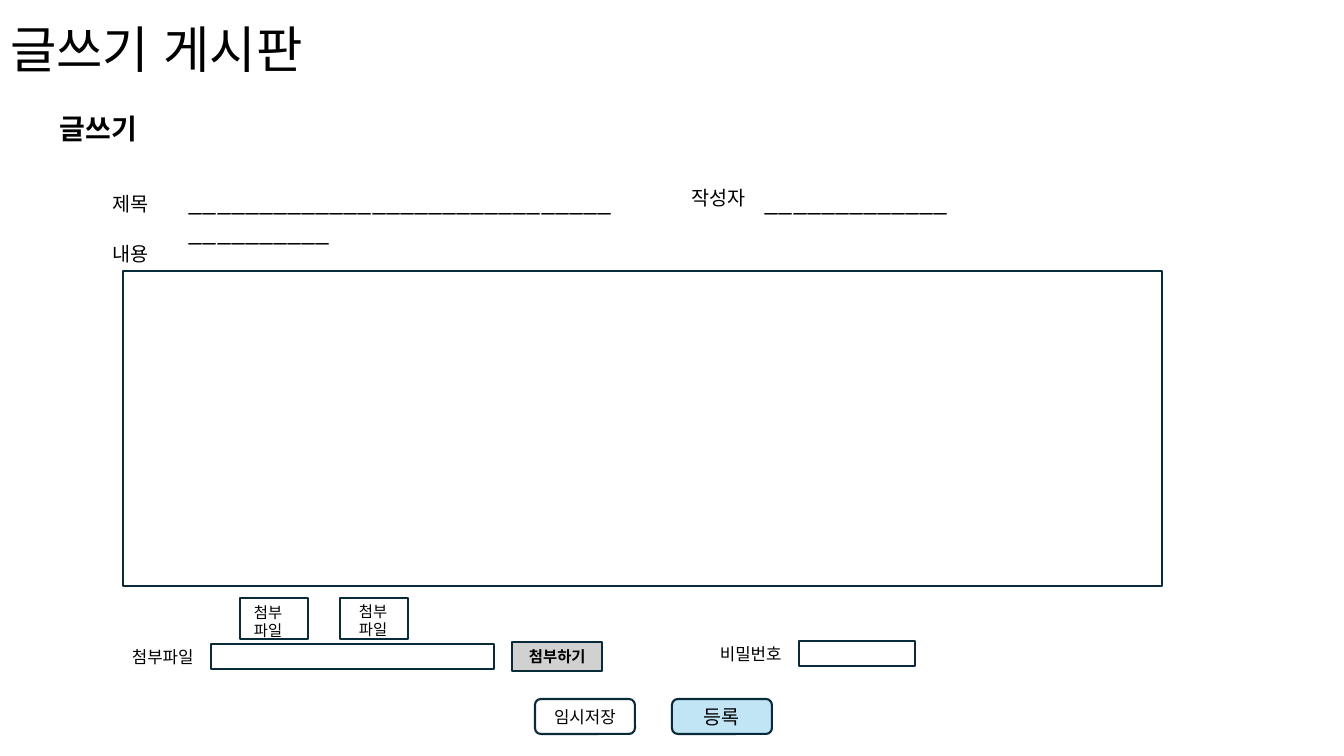
import pptx
import pptx.dml.color
import pptx.enum.lang
import pptx.enum.shapes
import pptx.enum.text
import pptx.oxml
import pptx.oxml.ns
import pptx.util

PX = 914400 / 100.8
FONT = "Noto Sans CJK KR"
BLACK, BORDER, GREY, SKY = "000000", "092A39", "D1D1D1", "C1E5F5"
SHAPE = pptx.enum.shapes.MSO_SHAPE
ALIGN = pptx.enum.text.PP_ALIGN
ANCHOR = pptx.enum.text.MSO_ANCHOR
AUTO = pptx.enum.text.MSO_AUTO_SIZE


def px(*lengths):
    return [pptx.util.Emu(round(n * PX)) for n in lengths]


def paint(color_format, hex_color):
    color_format.rgb = pptx.dml.color.RGBColor.from_string(hex_color)


def write(tf, text, size, bold=False, align=ALIGN.LEFT):
    p = tf.paragraphs[0]
    p.alignment = align
    r = p.add_run()
    r.text = text
    formats = {
        "name": FONT,
        "size": pptx.util.Pt(size),
        "bold": bold,
        "language_id": pptx.enum.lang.MSO_LANGUAGE_ID.KOREAN,
    }
    for key, value in formats.items():
        setattr(r.font, key, value)
    paint(r.font.color, BLACK)
    # East Asian typeface
    ea = pptx.oxml.parse_xml(
        f'<a:ea {pptx.oxml.ns.nsdecls("a")} typeface="{FONT}"/>')
    r.font._element.find(pptx.oxml.ns.qn("a:latin")).addnext(ea)
    return p


def label(s, x, y, w, h, text, size, bold=False):
    tf = s.shapes.add_textbox(*px(x, y, w, h)).text_frame
    tf.word_wrap = True
    write(tf, text, size, bold)


def frame(s, x, y, w, h, fill=None, kind=SHAPE.RECTANGLE):
    sp = s.shapes.add_shape(kind, *px(x, y, w, h))
    sp.shadow.inherit = False
    if fill:
        sp.fill.solid()
        paint(sp.fill.fore_color, fill)
    else:
        sp.fill.background()
    paint(sp.line.color, BORDER)
    sp.line.width = pptx.util.Pt(1.5)
    return sp


def page_title(s, x, y, w, h):
    title = s.shapes.title
    title.left, title.top, title.width, title.height = px(x, y, w, h)
    tf = title.text_frame
    for key, value in {"vertical_anchor": ANCHOR.MIDDLE, "word_wrap": True,
                       "auto_size": AUTO.NONE}.items():
        setattr(tf, key, value)
    write(tf, "글쓰기 게시판", 36).line_spacing = 0.9


def post_fields(s, x, y):
    label(s, x, y + 6, 90, 34, "제목", 14)
    label(s, x + 76, y, 455, 40, "_" * 40, 18)
    label(s, x + 579, y, 90, 34, "작성자", 14)
    label(s, x + 652, y, 228, 40, "_" * 13, 18)


def content_area(s, x, y, w, h):
    label(s, x - 20, y - 34, 90, 34, "내용", 14)
    frame(s, x, y, w, h)


def attachments(s, x, y):
    # Attached files, above the file field
    for i, (text_dx, text_dy) in enumerate([(4, 0), (9, -1)]):
        file_x, file_y = x + 118 + 100 * i, y - 44
        frame(s, file_x, file_y, 68, 41)
        label(s, file_x + text_dx, file_y + text_dy, 58, 47, "첨부파일", 11)
    # File field and attach button
    label(s, x, y, 90, 30, "첨부파일", 12)
    frame(s, x + 89, y + 2, 283, 25)
    frame(s, x + 390, y, 90, 29, GREY)
    label(s, x + 397, y, 90, 29, "첨부하기", 11, True)


def password(s, x, y):
    label(s, x, y, 90, 30, "비밀번호", 12)
    frame(s, x + 89, y + 2, 116, 25)


def actions(s, x, y):
    buttons = [("임시저장", 12, None), ("등록", 14, SKY)]
    for i, (text, size, fill) in enumerate(buttons):
        sp = frame(s, x + 137 * i, y, 100, 35, fill, SHAPE.ROUNDED_RECTANGLE)
        tf = sp.text_frame
        tf.vertical_anchor = ANCHOR.MIDDLE
        write(tf, text, size, align=ALIGN.CENTER)


def main():
    prs = pptx.Presentation()
    prs.slide_width, prs.slide_height = px(1344, 756)
    s = prs.slides.add_slide(prs.slide_layouts[5])
    page_title(s, 0, -21, 1159, 146)
    label(s, 50, 107, 140, 44, "글쓰기", 20, True)
    post_fields(s, 103, 181)
    content_area(s, 123, 271, 1039, 315)
    attachments(s, 122, 642)
    password(s, 710, 639)
    actions(s, 535, 699)
    prs.save("out.pptx")


if __name__ == "__main__":
    main()
